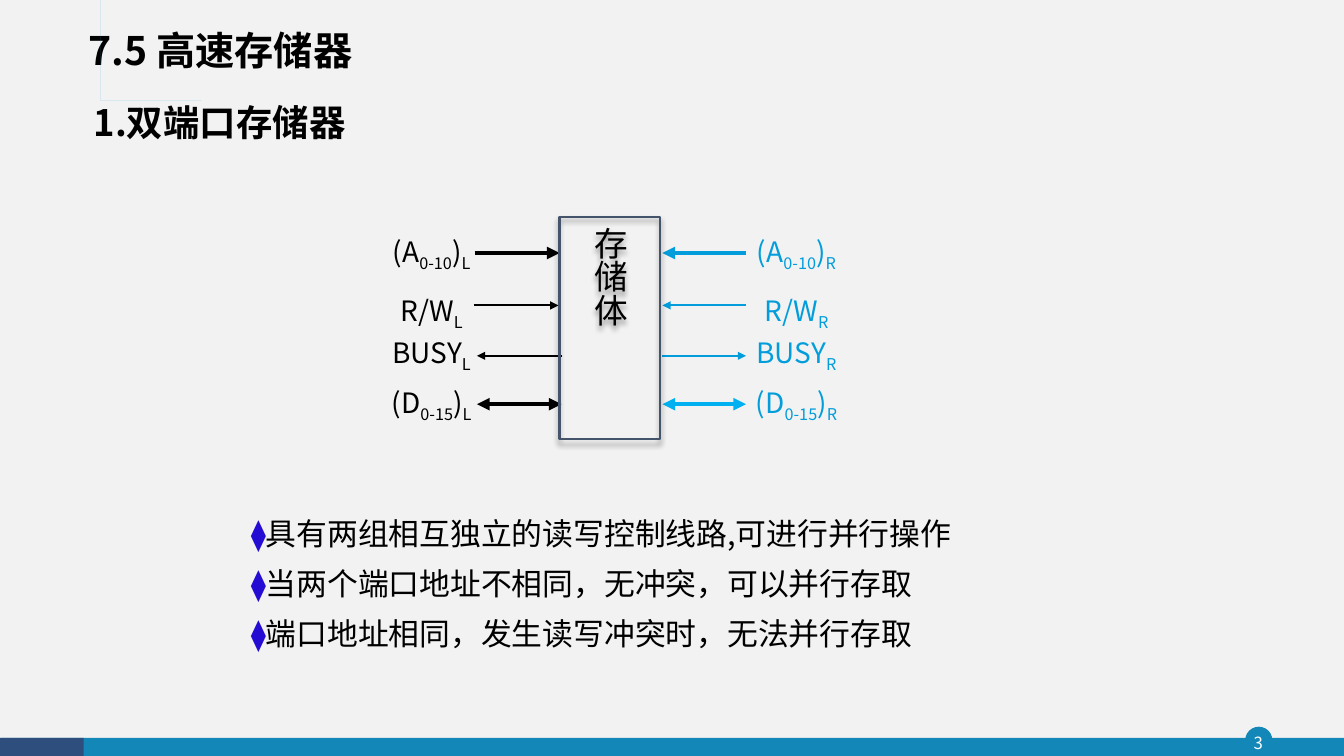
from lxml import etree
from pptx import Presentation
from pptx.dml.color import RGBColor
from pptx.enum.shapes import MSO_CONNECTOR, MSO_SHAPE
from pptx.enum.text import MSO_ANCHOR, MSO_AUTO_SIZE, PP_ALIGN
from pptx.oxml.ns import qn
from pptx.util import Inches, Pt

STRAIGHT = MSO_CONNECTOR.STRAIGHT
RECTANGLE, OVAL = MSO_SHAPE.RECTANGLE, MSO_SHAPE.OVAL
MIDDLE, TOP = MSO_ANCHOR.MIDDLE, MSO_ANCHOR.TOP
LEFT, CENTER = PP_ALIGN.LEFT, PP_ALIGN.CENTER

BLACK = RGBColor(0, 0, 0)
WHITE = RGBColor(255, 255, 255)
PAPER = RGBColor(0xF2, 0xF2, 0xF2)
TEAL = RGBColor(0x13, 0x87, 0xB7)
NAVY = RGBColor(0x2E, 0x4E, 0x7E)
ORNAMENT = RGBColor(0x28, 0xA9, 0xD6)
PORT_BLUE = RGBColor(0x03, 0x9D, 0xDB)
DATA_BLUE = RGBColor(0x00, 0xB0, 0xF0)
SLATE = RGBColor(0x44, 0x54, 0x6A)
VIOLET = RGBColor(0x24, 0x0C, 0xD2)

JP, SC = "Noto Sans CJK JP", "Noto Sans CJK SC"

HEADING = "7.5 高速存储器"
SUBHEADING = "1.双端口存储器"
MEMORY = "存储体"
PAGE = "3"
DIAMOND = "⧫"
POINTS = [
    "具有两组相互独立的读写控制线路,可进行并行操作",
    "当两个端口地址不相同，无冲突，可以并行存取",
    "端口地址相同，发生读写冲突时，无法并行存取",
]
# label pieces as (text, subscript), label top, arrow y, left start, weight, ends, right colour
SIGNALS = [
    ([("(A", False), ("0-10", True), (")", False)], 2.28, 2.51, 4.71, 3, ["tailEnd"], PORT_BLUE),
    ([("R/W", False)], 2.86, 3.03, 4.70, 1.5, ["tailEnd"], PORT_BLUE),
    ([("BUSY", False)], 3.28, 3.53, 4.73, 1.5, ["headEnd"], PORT_BLUE),
    ([("(D", False), ("0-15", True), (")", False)], 3.78, 4.01, 4.73, 3,
     ["headEnd", "tailEnd"], DATA_BLUE),
]
ARROW_LENGTH = 0.84
RIGHT_START, RIGHT_END = 7.4, 6.57
CORNER_MARK = [
    (0.54, 0.39), (0.54, 0.85), (1.87, 0.85), (1.87, 0.87), (0.52, 0.87), (0.52, 0.41),
    (0.47, 0.41), (0.47, 0.87), (0.36, 0.87), (0.36, 0.39), (0.39, 0.39), (0.39, 0.84),
    (0.44, 0.84), (0.44, 0.39),
]


def inches(*lengths):
    return [Inches(length) for length in lengths]


def style(run, size, font, color, bold=False, subscript=False):
    run.font.size, run.font.name, run.font.bold = Pt(size), font, bold
    run.font.color.rgb = color
    properties = run.font._element
    etree.SubElement(properties, qn("a:ea"), typeface=font)
    if subscript:
        properties.set("baseline", "-25000")


def add_run(paragraph, text, *look, **extra):
    run = paragraph.add_run()
    run.text = text
    style(run, *look, **extra)


def add_text(slide, box, align=LEFT, anchor=TOP):
    frame = slide.shapes.add_textbox(*inches(*box)).text_frame
    frame.word_wrap = True
    frame.vertical_anchor = anchor
    frame.paragraphs[0].alignment = align
    return frame


def paint(shape, color):
    shape.shadow.inherit = False
    shape.fill.solid()
    shape.fill.fore_color.rgb = color
    shape.line.fill.background()


def add_arrow(slide, start, end, y, color, weight, ends):
    arrow = slide.shapes.add_connector(STRAIGHT, *inches(start, y, end, y))
    arrow.line.color.rgb = color
    arrow.line.width = Pt(weight)
    line = arrow.line._get_or_add_ln()
    for tip in ends:
        etree.SubElement(line, qn("a:" + tip), type="triangle")
    etree.SubElement(arrow._element.spPr, qn("a:effectLst"))


def add_label(slide, pieces, port, left, top, width, color):
    label = add_text(slide, (left, top, width, 0.43), CENTER)
    for text, subscript in pieces + [(port, True)]:
        add_run(label.paragraphs[0], text, 20, JP, color, subscript=subscript)


def add_frame(slide):
    for kind, box, color in [
        (OVAL, (12.35, 7.21, 0.27, 0.27), TEAL),
        (RECTANGLE, (0.01, 7.32, 13.32, 0.19), TEAL),
        (RECTANGLE, (0, 7.32, 0.83, 0.19), NAVY),
    ]:
        paint(slide.shapes.add_shape(kind, *inches(*box)), color)
    number = add_text(slide, (12.32, 7.21, 0.32, 0.31), CENTER, MIDDLE)
    number.margin_left = number.margin_right = number.margin_top = number.margin_bottom = 0
    add_run(number.paragraphs[0], PAGE, 12, SC, WHITE)
    outline = slide.shapes.build_freeform(*CORNER_MARK[0], scale=Inches(1))
    outline.add_line_segments(CORNER_MARK[1:], close=True)
    paint(outline.convert_to_shape(), ORNAMENT)


def add_headings(slide):
    title = slide.shapes.title
    title.left, title.top, title.width, title.height = inches(0.78, 0.18, 4.78, 0.68)
    frame = title.text_frame
    frame.text = HEADING
    frame.auto_size = MSO_AUTO_SIZE.NONE
    frame.vertical_anchor = MIDDLE
    heading = frame.paragraphs[0]
    heading.alignment, heading.line_spacing = LEFT, 0.9
    style(heading.runs[0], 28, JP, BLACK, bold=True)
    subheading = add_text(slide, (0.83, 0.94, 9.32, 0.54))
    add_run(subheading.paragraphs[0], SUBHEADING, 26, JP, BLACK, bold=True)


def add_memory(slide):
    memory = slide.shapes.add_shape(RECTANGLE, *inches(5.55, 2.15, 1, 2.21))
    memory.fill.background()
    memory.line.color.rgb = SLATE
    memory.line.width = Pt(1.5)
    effects = etree.SubElement(memory._element.spPr, qn("a:effectLst"))
    shadow = etree.SubElement(effects, qn("a:outerShdw"), blurRad=str(Pt(4)),
                              dist=str(Pt(3)), dir="5400000", rotWithShape="0")
    shade = etree.SubElement(shadow, qn("a:srgbClr"), val=str(BLACK))
    etree.SubElement(shade, qn("a:alpha"), val="40000")
    frame = memory.text_frame
    frame.word_wrap = False
    frame.vertical_anchor = MIDDLE
    frame._txBody.bodyPr.set("vert", "eaVert")
    frame.text = MEMORY
    frame.paragraphs[0].alignment = CENTER
    style(frame.paragraphs[0].runs[0], 24, "Cabin", BLACK)


def add_points(slide):
    frame = add_text(slide, (2.39, 4.93, 9.2, 1.6))
    for index, point in enumerate(POINTS):
        paragraph = frame.add_paragraph() if index else frame.paragraphs[0]
        paragraph.line_spacing = 1.35
        add_run(paragraph, DIAMOND, 22, "Arial", VIOLET)
        add_run(paragraph, point, 22, SC, BLACK)


def main():
    deck = Presentation()
    deck.slide_width, deck.slide_height = inches(13.33, 7.5)
    slide = deck.slides.add_slide(deck.slide_layouts[5])
    slide.background.fill.solid()
    slide.background.fill.fore_color.rgb = PAPER
    add_frame(slide)
    add_headings(slide)
    for pieces, top, y, start, weight, ends, right_color in SIGNALS:
        add_arrow(slide, start, start + ARROW_LENGTH, y, BLACK, weight, ends)
        add_label(slide, pieces, "L", 3.57, top, 1.42, BLACK)
        add_arrow(slide, RIGHT_START, RIGHT_END, y, right_color, weight, ends)
        add_label(slide, pieces, "R", 7.15, top, 1.5, PORT_BLUE)
    add_memory(slide)
    add_points(slide)
    deck.save("out.pptx")


if __name__ == "__main__":
    main()
